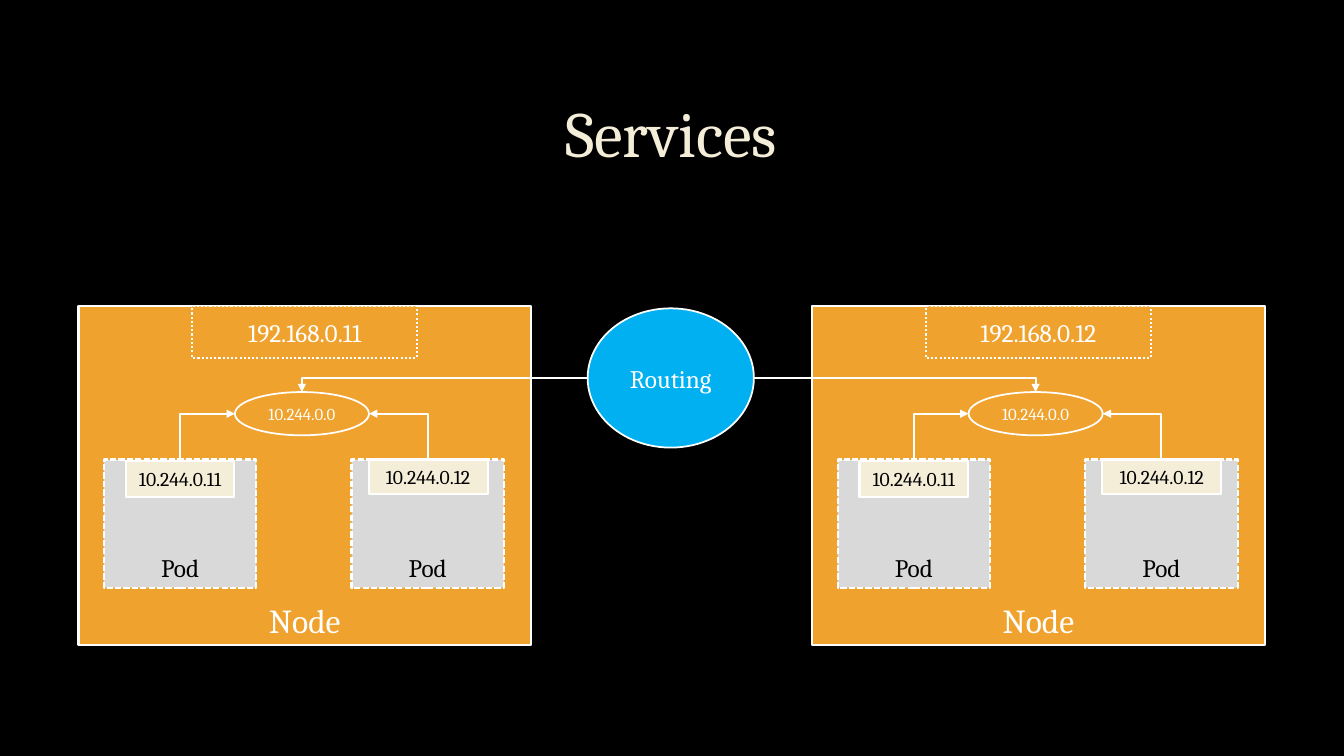
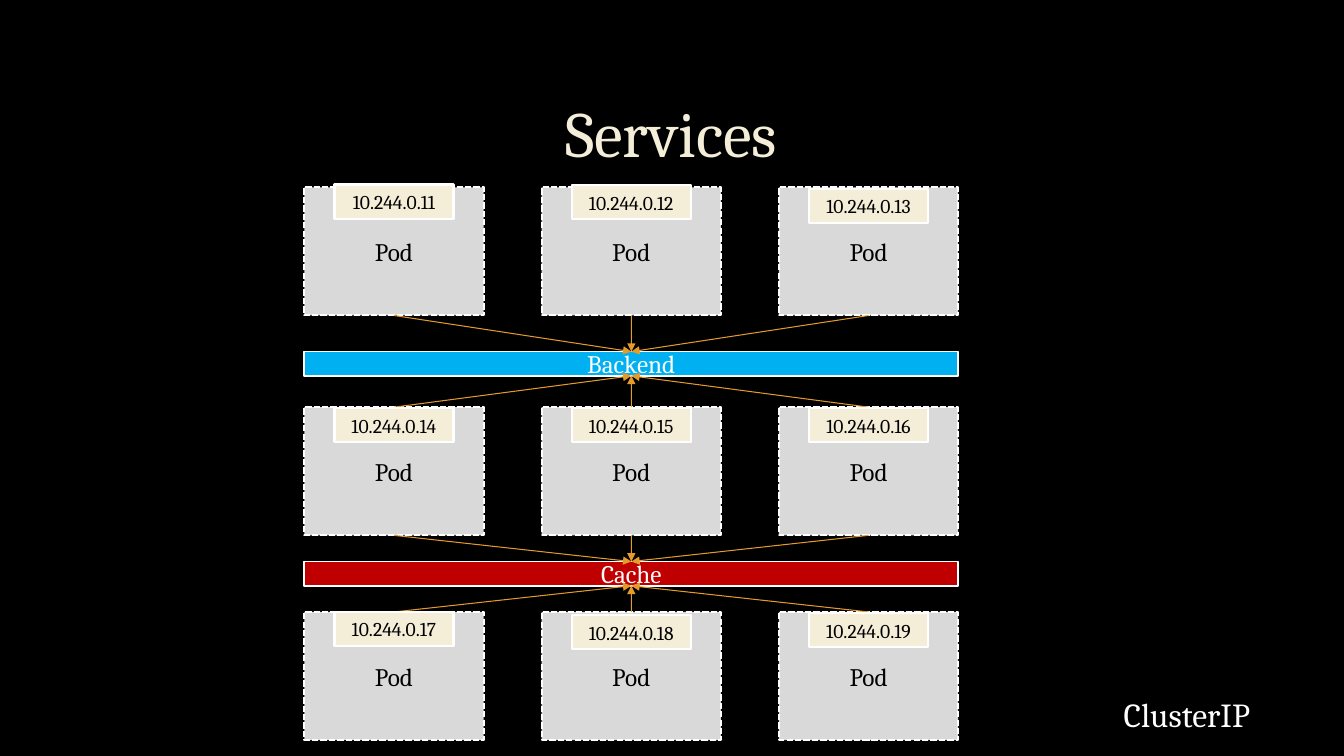
from dataclasses import dataclass

from lxml import etree
from pptx import Presentation
from pptx.dml.color import RGBColor
from pptx.enum.dml import MSO_LINE
from pptx.enum.shapes import MSO_CONNECTOR, MSO_SHAPE
from pptx.enum.text import MSO_ANCHOR, PP_ALIGN
from pptx.oxml.ns import qn
from pptx.util import Cm, Pt

RECT, OVAL = MSO_SHAPE.RECTANGLE, MSO_SHAPE.OVAL
STRAIGHT, ELBOW = MSO_CONNECTOR.STRAIGHT, MSO_CONNECTOR.ELBOW
TOP, MIDDLE, BOTTOM = MSO_ANCHOR.TOP, MSO_ANCHOR.MIDDLE, MSO_ANCHOR.BOTTOM
LEFT, CENTER = PP_ALIGN.LEFT, PP_ALIGN.CENTER
DOTTED, DASHED = MSO_LINE.ROUND_DOT, MSO_LINE.SQUARE_DOT
SIDES = {"top": (0, 0.5, 0), "left": (1, 0, 0.5), "bottom": (2, 0.5, 1), "right": (3, 1, 0.5)}


@dataclass(frozen=True)
class Theme:
    font: str = "Cambria"
    black: str = "000000"
    white: str = "FFFFFF"
    cream: str = "F4EDD8"
    orange: str = "F0A22E"
    arrow: str = "E59B2C"
    grey: str = "D9D9D9"
    blue: str = "00B0F0"
    red: str = "C00000"
    title: float = 46
    heading: float = 24
    label: float = 18
    address: float = 14
    small: float = 12
    thick: float = 1.5
    medium: float = 1.25
    thin: float = 0.75


T = Theme()


def rgb(value):
    return RGBColor.from_string(value)


def write(tf, text, size, color, anchor=MIDDLE, align=CENTER, wrap=True):
    tf.word_wrap = wrap
    tf.vertical_anchor = anchor
    p = tf.paragraphs[0]
    p.alignment = align
    r = p.add_run()
    r.text = text
    for name, value in {"name": T.font, "size": Pt(size)}.items():
        setattr(r.font, name, value)
    r.font.color.rgb = rgb(color)
    return p


def add_box(s, box, text, fill, size=T.label, color=T.white, kind=RECT,
            anchor=MIDDLE, width=T.thick, dash=None):
    sp = s.shapes.add_shape(kind, *map(Cm, box))
    sp.shadow.inherit = False
    sp.fill.solid()
    sp.fill.fore_color.rgb = rgb(fill)
    sp.line.color.rgb = rgb(T.white)
    sp.line.width = Pt(width)
    if dash:
        sp.line.dash_style = dash
    write(sp.text_frame, text, size, color, anchor)
    return sp


def add_pod(s, box, anchor):
    return add_box(s, box, "Pod", T.grey, color=T.black, anchor=anchor, dash=DASHED)


def add_address(s, box, text):
    return add_box(s, box, text, T.cream, T.address, T.black)


def side_point(sp, side):
    index, fx, fy = SIDES[side]
    site = index * 2 if sp.auto_shape_type == OVAL else index
    return site, int(sp.left + sp.width * fx), int(sp.top + sp.height * fy)


def connect(s, start, start_side, end, end_side, color, width, kind=STRAIGHT, arrow="tailEnd"):
    start_site, x1, y1 = side_point(start, start_side)
    end_site, x2, y2 = side_point(end, end_side)
    c = s.shapes.add_connector(kind, x1, y1, x2, y2)
    c.line.color.rgb = rgb(color)
    c.line.width = Pt(width)
    props = c._element.find(".//" + qn("p:cNvCxnSpPr"))
    for tag, sp, site in (("a:stCxn", start, start_site), ("a:endCxn", end, end_site)):
        etree.SubElement(props, qn(tag), id=str(sp.shape_id), idx=str(site))
    sp_pr = c._element.spPr
    if kind == ELBOW:
        sp_pr.find(qn("a:prstGeom")).set("prst", "bentConnector2")
    etree.SubElement(sp_pr.find(qn("a:ln")), qn("a:" + arrow), type="triangle")
    etree.SubElement(sp_pr, qn("a:effectLst"))


def add_slide(prs, title):
    s = prs.slides.add_slide(prs.slide_layouts[6])
    s.background.fill.solid()
    s.background.fill.fore_color.rgb = rgb(T.black)
    tb = s.shapes.add_textbox(Cm(2.54), Cm(1.7), Cm(28.75), Cm(3.5))
    write(tb.text_frame, title, T.title, T.cream).line_spacing = 0.9
    return s


def add_node(s, x, y, address):
    add_box(s, (x, y, 11.4, 8.53), "Node", T.orange, T.heading, anchor=BOTTOM)
    add_box(s, (x + 2.87, y, 5.66, 1.3), address, T.orange, dash=DOTTED)
    bridge = add_box(s, (x + 3.94, y + 2.16, 3.38, 1.09), "10.244.0.0", T.orange,
                     T.small, kind=OVAL, width=T.medium)
    pods = (
        ("left", 0.64, (0.55, 0.03, 2.74, 0.91), "10.244.0.11"),
        ("right", 6.88, (0.43, 0, 3, 0.86), "10.244.0.12"),
    )
    for side, dx, (ax, ay, w, h), text in pods:
        px, py = x + dx, y + 3.86
        pod = add_pod(s, (px, py, 3.84, 3.23), BOTTOM)
        add_address(s, (px + ax, py + ay, w, h), text)
        connect(s, bridge, side, pod, "top", T.white, T.thick, ELBOW, "headEnd")
    return bridge


def build_routing(prs):
    s = add_slide(prs, "Services")
    bridges = [add_node(s, x, 7.72, address)
               for x, address in ((1.98, "192.168.0.11"), (20.47, "192.168.0.12"))]
    router = add_box(s, (14.81, 7.77, 4.19, 3.51), "Routing", T.blue,
                     kind=OVAL, width=T.medium)
    for side, bridge in zip(("left", "right"), bridges):
        connect(s, router, side, bridge, "top", T.white, T.thick, ELBOW)


def add_pod_row(s, x, y, step):
    return [add_pod(s, (x + i * step, y, 4.52, 3.23), MIDDLE) for i in range(3)]


def add_service(s, box, name, fill, above, below):
    bar = add_box(s, box, name, fill, width=T.medium)
    for pods, pod_side, bar_side in ((above, "bottom", "top"), (below, "top", "bottom")):
        for pod in pods:
            connect(s, pod, pod_side, bar, bar_side, T.arrow, T.thin)


def build_cluster_ip(prs):
    s = add_slide(prs, "Services")
    tb = s.shapes.add_textbox(Cm(28.07), Cm(17.35), Cm(3.71), Cm(1.27))
    write(tb.text_frame, "ClusterIP", T.heading, T.white, TOP, LEFT, False)

    x, step = 7.67, 5.98
    tops = (4.72, 10.26, 15.42)
    rows = [add_pod_row(s, x, y, step) for y in tops]
    services = ((8.86, "Backend", T.blue), (14.15, "Cache", T.red))
    for i, (y, name, fill) in enumerate(services):
        add_service(s, (x, y, 16.48, 0.61), name, fill, rows[i], rows[i + 1])

    address_shifts = ((-0.07, -0.05, 0.04), (0.03, 0.03, 0.03), (0, 0.08, 0.03))
    for row, (y, shifts) in enumerate(zip(tops, address_shifts)):
        for col, dy in enumerate(shifts):
            add_address(s, (x + col * step + 0.76, y + dy, 3, 0.86),
                        f"10.244.0.{11 + row * 3 + col}")


def main():
    prs = Presentation()
    prs.slide_width, prs.slide_height = Cm(33.87), Cm(19.05)
    build_routing(prs)
    build_cluster_ip(prs)
    prs.save("out.pptx")


if __name__ == "__main__":
    main()
